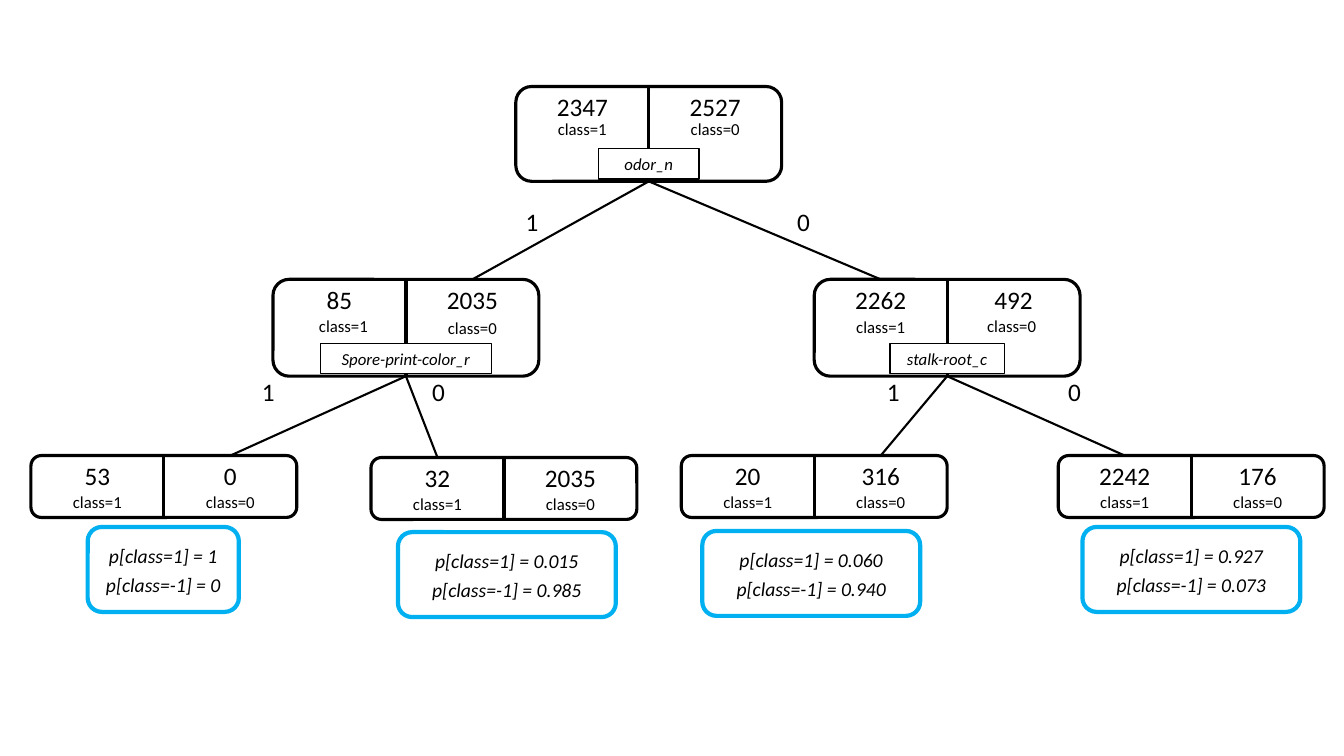
import pptx
import pptx.dml.color
import pptx.enum.shapes
import pptx.enum.text
import pptx.oxml.ns
import pptx.util
import lxml.etree

Cm = pptx.util.Cm
Pt = pptx.util.Pt
Shape = pptx.enum.shapes.MSO_SHAPE
Align = pptx.enum.text.PP_ALIGN
Anchor = pptx.enum.text.MSO_ANCHOR


def outline(shape, colour="000000", weight=2.25, fill=None):
    if fill:
        shape.fill.solid()
        shape.fill.fore_color.rgb = pptx.dml.color.RGBColor.from_string(fill)
    elif hasattr(shape, "fill"):
        shape.fill.background()
    shape.line.color.rgb = pptx.dml.color.RGBColor.from_string(colour)
    shape.line.width = Pt(weight)
    lxml.etree.SubElement(shape._element.spPr, pptx.oxml.ns.qn("a:effectLst"))


def write(shape, text, size=12, italic=False, align=Align.CENTER, anchor=Anchor.TOP):
    frame = shape.text_frame
    frame.word_wrap = True
    frame.vertical_anchor = anchor
    para = frame.paragraphs[0]
    para.alignment = align
    span = para.add_run()
    span.text = text
    span.font.name = "Calibri"
    span.font.size = Pt(size)
    span.font.italic = italic
    span.font.color.rgb = pptx.dml.color.RGBColor.from_string("000000")


deck = pptx.Presentation()
deck.slide_width = Cm(33.87)
deck.slide_height = Cm(19.05)
page = deck.slides.add_slide(deck.slide_layouts[6])
shapes = page.shapes

half = 3.35
leaf_classes = ((0, 0.79), (0, 0.79))
nodes = {
    "root": (13, 2.18, 2.39, ("2347", "2527"), ((0, 0.69), (0, 0.69))),
    "spore": (6.88, 7.04, 2.44, ("85", "2035"), ((0.1, 0.79), (0, 0.84))),
    "stalk": (20.52, 7.04, 2.44, ("2262", "492"), ((0, 0.81), (-0.05, 0.79))),
    "leaf 1": (0.78, 11.48, 1.56, ("53", "0"), leaf_classes),
    "leaf 2": (9.35, 11.53, 1.56, ("32", "2035"), leaf_classes),
    "leaf 3": (17.17, 11.48, 1.56, ("20", "316"), leaf_classes),
    "leaf 4": (26.67, 11.48, 1.56, ("2242", "176"), leaf_classes),
}
for left, top, height, counts, class_offsets in nodes.values():
    box = shapes.add_shape(Shape.ROUNDED_RECTANGLE, Cm(left), Cm(top), Cm(2 * half), Cm(height))
    outline(box)
    divider = shapes.add_connector(
        pptx.enum.shapes.MSO_CONNECTOR.STRAIGHT,
        Cm(left + half), Cm(top), Cm(left + half), Cm(top + height))
    outline(divider)
    for side, (count, (shift, drop)) in enumerate(zip(counts, class_offsets)):
        column = left + side * half
        write(shapes.add_textbox(Cm(column), Cm(top), Cm(half), Cm(1.02)), count, size=18)
        class_box = shapes.add_textbox(Cm(column + shift), Cm(top + drop), Cm(half), Cm(0.77))
        write(class_box, f"class={1 - side}")

branches = [
    ("root", "spore", "1", 13, 5.08),
    ("root", "stalk", "0", 19.84, 5.08),
    ("spore", "leaf 1", "1", 6.35, 9.35),
    ("spore", "leaf 2", "0", 10.64, 9.35),
    ("stalk", "leaf 3", "1", 22.1, 9.35),
    ("stalk", "leaf 4", "0", 26.67, 9.35),
]
for parent, child, value, label_left, label_top in branches:
    left, top, height = nodes[parent][:3]
    child_left, child_top = nodes[child][:2]
    entry = 1.5 * half if value == "1" else 0.5 * half
    branch = shapes.add_connector(
        pptx.enum.shapes.MSO_CONNECTOR.STRAIGHT,
        Cm(left + half), Cm(top + height), Cm(child_left + entry), Cm(child_top))
    outline(branch, weight=1.5)
    label = shapes.add_textbox(Cm(label_left), Cm(label_top), Cm(1.12), Cm(1.02))
    write(label, value, size=18, align=Align.LEFT)

features = [
    ("spore", "Spore-print-color_r", 4.3, 0.75),
    ("stalk", "stalk-root_c", 2.88, 1),
    ("root", "odor_n", 2.54, 1),
]
for node, name, width, weight in features:
    left, top, height = nodes[node][:3]
    feature = shapes.add_shape(
        Shape.RECTANGLE, Cm(left + half - width / 2), Cm(top + height - 0.83), Cm(width), Cm(0.77))
    outline(feature, weight=weight, fill="FFFFFF")
    write(feature, name, italic=True, anchor=Anchor.MIDDLE)

probabilities = [
    (2.21, 13.28, 3.81, "1", "0"),
    (10.03, 13.41, 5.49, "0.015", "0.985"),
    (17.7, 13.38, 5.49, "0.060", "0.940"),
    (27.28, 13.28, 5.49, "0.927", "0.073"),
]
for left, top, width, positive, negative in probabilities:
    lines = (f"p[class=1] = {positive}", f"p[class=-1] = {negative}")
    for row, line in enumerate(lines):
        line_box = shapes.add_textbox(Cm(left), Cm(top + 0.3 + 0.73 * row), Cm(width), Cm(0.86))
        write(line_box, line, size=14, italic=True)
    frame_box = shapes.add_shape(Shape.ROUNDED_RECTANGLE, Cm(left), Cm(top), Cm(width), Cm(2.14))
    outline(frame_box, colour="00B0F0", weight=3)

deck.save("out.pptx")
